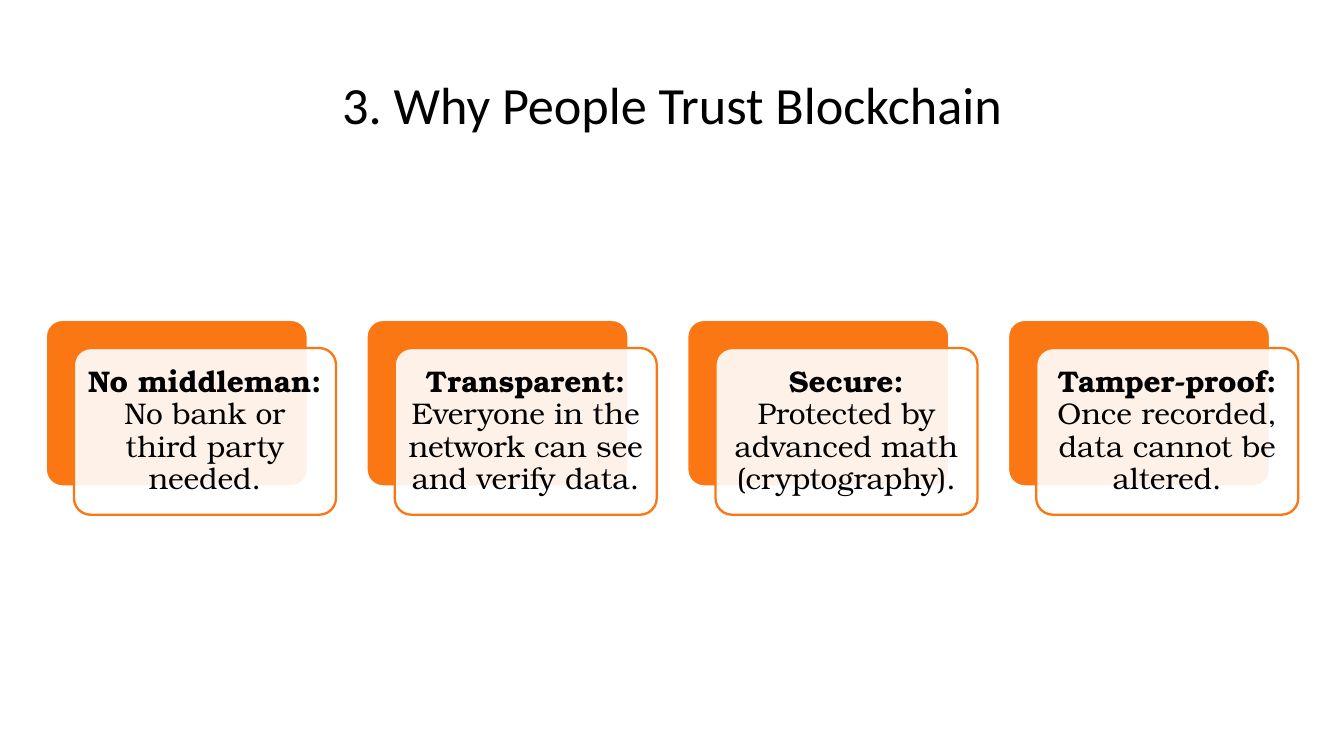
from lxml.etree import SubElement
from pptx import Presentation
from pptx.dml.color import RGBColor
from pptx.enum.shapes import MSO_SHAPE
from pptx.enum.text import MSO_ANCHOR, PP_ALIGN
from pptx.oxml.ns import qn
from pptx.util import Inches, Pt

TITLE = "3. Why People Trust Blockchain"
REASONS = [
    ("No middleman:", "No bank or third party needed."),
    ("Transparent:", "Everyone in the network can see and verify data."),
    ("Secure:", "Protected by advanced math (cryptography)."),
    ("Tamper-proof:", "Once recorded, data cannot be altered."),
]
ORANGE, WHITE, BLACK = "FA7714", "FFFFFF", "000000"
LEFT, TOP, WIDTH = 0.34, 2.38, 9.32
CARD_W, CARD_H = 1.95, 1.24
OFFSET = 0.21  # from the back card to the front card
PAD = 0.04     # from the front card to its text
PITCH = (WIDTH - CARD_W - OFFSET) / (len(REASONS) - 1)


def rgb(color):
    return RGBColor.from_string(color)


def add_card(x, y, fill, line):
    s = slide.shapes.add_shape(MSO_SHAPE.ROUNDED_RECTANGLE, Inches(x), Inches(y),
                               Inches(CARD_W), Inches(CARD_H))
    s.adjustments[0] = 0.1
    s.shadow.inherit = False
    s.fill.solid()
    s.fill.fore_color.rgb = rgb(fill)
    s.line.color.rgb = rgb(line)
    s.line.width = Pt(1.25)
    return s


def set_opacity(s, percent):
    color = s.fill._xPr.find(qn("a:solidFill"))[0]
    SubElement(color, qn("a:alpha")).set("val", str(percent * 1000))


def add_text(x, y, w, h, runs, font, size, inset):
    """Add a text box with one centred paragraph of (text, bold) runs."""
    s = slide.shapes.add_textbox(Inches(x), Inches(y), Inches(w), Inches(h))
    tf = s.text_frame
    tf.word_wrap = True
    tf.vertical_anchor = MSO_ANCHOR.MIDDLE
    tf.margin_left = tf.margin_right = Inches(inset)
    tf.margin_top = tf.margin_bottom = Inches(inset)
    p = tf.paragraphs[0]
    p.alignment = PP_ALIGN.CENTER
    p.line_spacing = 0.9
    p.font.name, p.font.size = font, Pt(size)
    p.font.color.rgb = rgb(BLACK)
    for text, bold in runs:
        r = p.add_run()
        r.text = text
        r.font.bold = bold


prs = Presentation()
prs.slide_width = Inches(10)
prs.slide_height = prs.slide_width * 9 // 16
slide = prs.slides.add_slide(prs.slide_layouts[6])

add_text(LEFT, 0.49, WIDTH, 0.62, [(TITLE, False)], "Calibri", 28, 0.1)

for i, (heading, detail) in enumerate(REASONS):
    x = LEFT + i * PITCH
    add_card(x, TOP, ORANGE, WHITE)
    x, y = x + OFFSET, TOP + OFFSET
    set_opacity(add_card(x, y, WHITE, ORANGE), 90)
    add_text(x + PAD, y + PAD, CARD_W - 2 * PAD, CARD_H - 2 * PAD,
             [(heading, True), (" " + detail, False)], "TeX Gyre Bonum", 16, 0.06)

prs.save("out.pptx")
